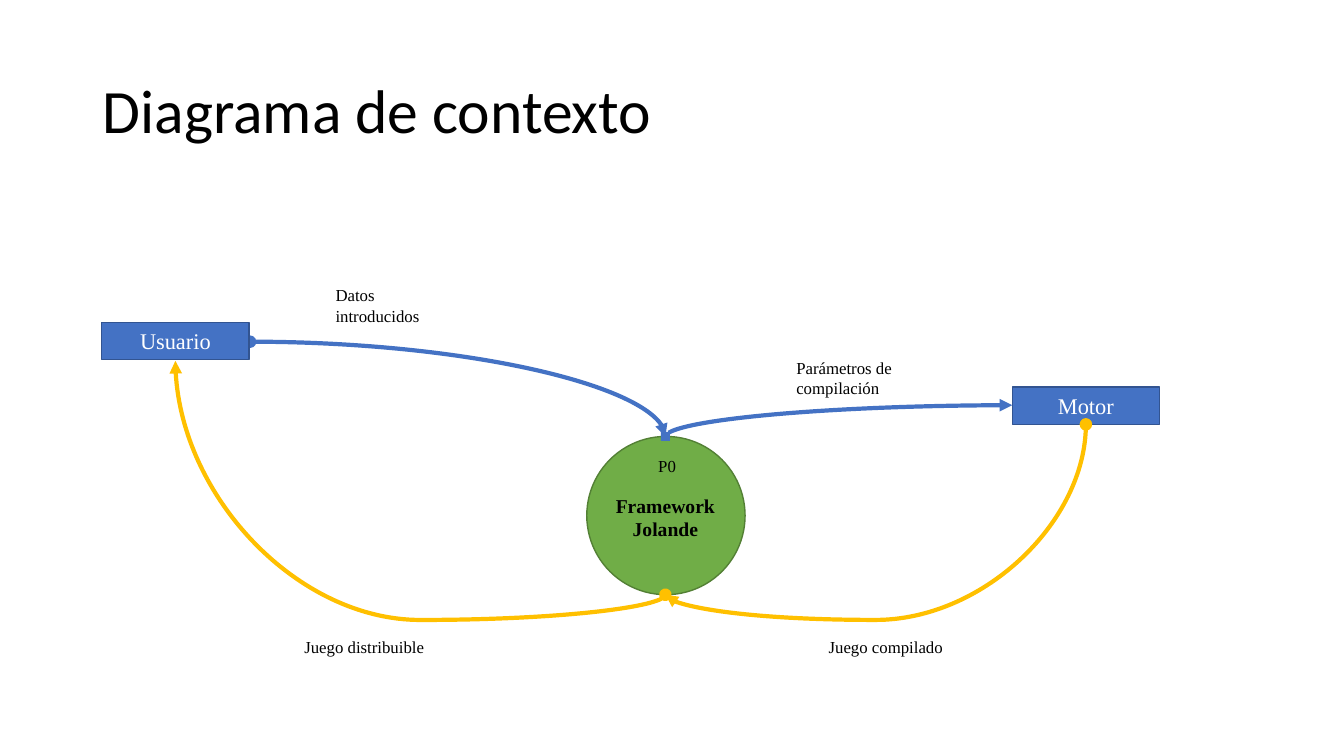
import pptx
import pptx.util
import pptx.dml.color
import pptx.enum.shapes
import pptx.enum.text
import pptx.oxml
import pptx.oxml.ns

Inches = pptx.util.Inches
Pt = pptx.util.Pt
SHAPE = pptx.enum.shapes.MSO_SHAPE
ALIGN = pptx.enum.text.PP_ALIGN
ANCHOR = pptx.enum.text.MSO_ANCHOR

BLUE, NAVY = "4472C4", "325491"
GREEN, MOSS = "70AD47", "538035"
GOLD = "FFC000"


def color(code):
    return pptx.dml.color.RGBColor.from_string(code)


def sub(node, tag, **attrs):
    """Append a child element with the given attributes."""
    child = pptx.oxml.parse_xml(f"<{tag} {pptx.oxml.ns.nsdecls('a')}/>")
    for key, val in attrs.items():
        child.set(key, val)
    node.append(child)
    return child


def write(frame, text, size=12, font="Times New Roman", ink="000000",
          bold=False, align=ALIGN.LEFT, anchor=ANCHOR.TOP, space=1.0):
    frame.word_wrap = True
    frame.vertical_anchor = anchor
    par = frame.paragraphs[0]
    par.alignment = align
    par.line_spacing = space
    run = par.add_run()
    run.text = text
    run.font.size = Pt(size)
    run.font.name = font
    run.font.bold = bold
    run.font.color.rgb = color(ink)


class Board:
    def __init__(self, slide):
        self.slide = slide

    def label(self, text, left, top, width, height, **form):
        box = self.slide.shapes.add_textbox(*map(Inches, (left, top, width, height)))
        write(box.text_frame, text, **form)

    def shape(self, kind, left, top, width, height, fill, edge):
        item = self.slide.shapes.add_shape(kind, *map(Inches, (left, top, width, height)))
        item.shadow.inherit = False
        item.fill.solid()
        item.fill.fore_color.rgb = color(fill)
        item.line.color.rgb = color(edge)
        item.line.width = Pt(1)
        return item

    def actor(self, name, left, top):
        item = self.shape(SHAPE.RECTANGLE, left, top, 1.46, 0.37, BLUE, NAVY)
        write(item.text_frame, name, size=16, ink="FFFFFF", align=ALIGN.CENTER)

    def flow(self, start, end, ink, head="oval", upright=True, turn=None):
        """Draw a curved arrow; upright ones leave vertically, turn is the y they swing through."""
        (x0, y0), (x1, y1) = start, end
        wide, high = abs(x1 - x0), abs(y1 - y0)
        if upright:
            wide, high = high, wide
        left, top = (x0 + x1 - wide) / 2, (y0 + y1 - high) / 2
        line = self.slide.shapes.add_connector(
            pptx.enum.shapes.MSO_CONNECTOR.CURVE,
            *map(Inches, (left, top, left + wide, top + high)))
        line.line.color.rgb = color(ink)
        line.line.width = Pt(3)
        props = line._element.spPr
        if upright:
            frame = props.find(pptx.oxml.ns.qn("a:xfrm"))
            frame.set("rot", "5400000")
            frame.set("flipH", str(int(y1 < y0)))
            frame.set("flipV", str(int(x1 > x0)))
        geom = props.find(pptx.oxml.ns.qn("a:prstGeom"))
        if turn is None:
            geom.set("prst", "curvedConnector2")
        else:
            for old in list(geom):
                geom.remove(old)
            share = round((turn - y0) / (y1 - y0) * 100000)
            sub(sub(geom, "a:avLst"), "a:gd", name="adj1", fmla=f"val {share}")
        stroke = line.line._get_or_add_ln()
        sub(stroke, "a:headEnd", type=head)
        sub(stroke, "a:tailEnd", type="triangle")
        sub(props, "a:effectLst")


def main():
    deck = pptx.Presentation()
    deck.slide_width, deck.slide_height = Inches(13.33), Inches(7.5)
    board = Board(deck.slides.add_slide(deck.slide_layouts[6]))
    board.label("Diagrama de contexto", 0.92, 0.4, 11.5, 1.45, size=44,
                font="Calibri", anchor=ANCHOR.MIDDLE, space=0.9)

    peak, base, swing = (6.6, 4.33), (6.6, 5.9), 6.15
    board.flow((2.48, 3.39), peak, BLUE, upright=False)
    board.shape(SHAPE.OVAL, 5.82, 4.33, 1.57, 1.57, GREEN, MOSS)
    board.label("Framework Jolande", 5.97, 4.85, 1.26, 0.57, size=14,
                bold=True, align=ALIGN.CENTER)
    board.actor("Usuario", 1.01, 3.2)
    board.actor("Motor", 10.04, 3.84)
    board.flow(peak, (10.04, 4.02), BLUE, head="diamond")
    board.flow(base, (1.74, 3.58), GOLD, turn=swing)
    board.flow((10.77, 4.21), base, GOLD, turn=swing)

    for text, left, top, width, height in (
            ("P0", 6.43, 4.47, 0.44, 0.3),
            ("Datos introducidos", 3.23, 2.78, 1.46, 0.5),
            ("Parámetros de compilación", 7.8, 3.5, 1.64, 0.5),
            ("Juego distribuible", 2.92, 6.27, 1.78, 0.3),
            ("Juego compilado", 8.12, 6.27, 1.78, 0.3)):
        board.label(text, left, top, width, height)
    deck.save("out.pptx")


if __name__ == "__main__":
    main()
